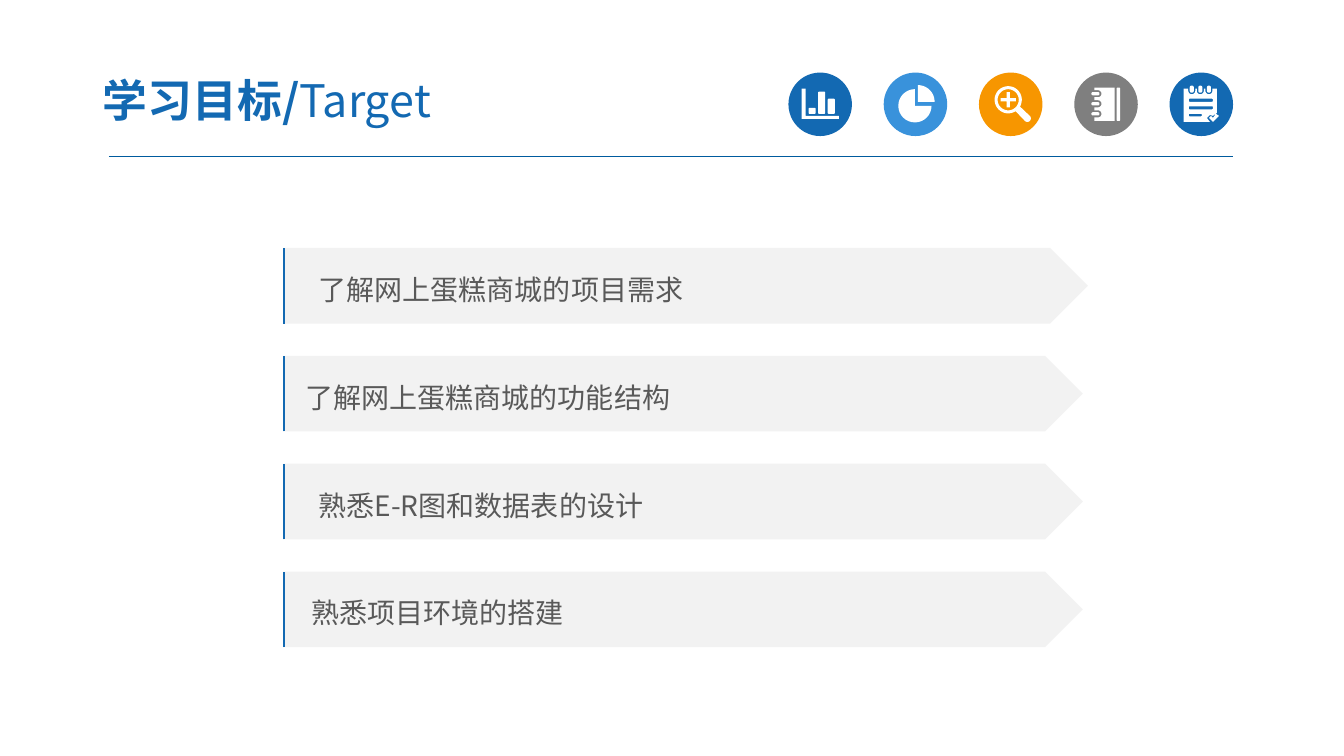
from math import cos, radians, sin

from lxml.etree import SubElement
from pptx import Presentation
from pptx.dml.color import RGBColor
from pptx.enum.shapes import MSO_CONNECTOR, MSO_SHAPE
from pptx.enum.text import MSO_ANCHOR, PP_ALIGN
from pptx.oxml.ns import qn
from pptx.util import Inches, Pt

FONT = "Noto Sans CJK SC"
BLUE, SKY, ORANGE, GRAY = "1369B2", "3992DB", "F79600", "7F7F7F"
RULE, PLATE, BODY, WHITE = "005B9E", "F2F2F2", "595959", "FFFFFF"


def color(hex_code):
    """Turn a hex string into a colour."""
    return RGBColor.from_string(hex_code)


def paint(shape, fill):
    """Give a shape a plain fill without line or shadow."""
    shape.shadow.inherit = False
    shape.fill.solid()
    shape.fill.fore_color.rgb = color(fill)
    shape.line.fill.background()


def style(run, size, hex_code, bold=False):
    """Set the font of a run, for Latin and East Asian text."""
    run.font.name = FONT
    run.font.size = Pt(size)
    run.font.bold = bold
    run.font.color.rgb = color(hex_code)
    SubElement(run.font._element, qn("a:ea")).set("typeface", FONT)


def draw_line(slide, start, end, hex_code, width):
    """Draw a straight line between two points in inches."""
    line = slide.shapes.add_connector(
        MSO_CONNECTOR.STRAIGHT, *(Inches(value) for value in start + end))
    line.line.color.rgb = color(hex_code)
    line.line.width = Pt(width)
    SubElement(line._element.spPr, qn("a:effectLst"))


def arc(cx, cy, radius, start, end, steps=24):
    """List points along an arc, with angles in clockwise degrees."""
    angles = [radians(start + (end - start) * i / steps) for i in range(steps + 1)]
    return [(cx + radius * cos(a), cy + radius * sin(a)) for a in angles]


def bar(left, top, right, bottom, radius=0.01):
    """List the outline points of a rounded bar."""
    corners = [(left + radius, top + radius, 180), (right - radius, top + radius, 270),
               (right - radius, bottom - radius, 0), (left + radius, bottom - radius, 90)]
    return [point for cx, cy, turn in corners
            for point in arc(cx, cy, radius, turn, turn + 90, 6)]


def chart_icon():
    """Outline a bar chart with its axes."""
    axes = [(0.13, 0.16), (0.17, 0.16), (0.17, 0.43), (0.5, 0.43), (0.5, 0.46), (0.13, 0.46)]
    tops = [0.35, 0.19, 0.26]
    return [axes] + [bar(0.2 + 0.095 * i, top, 0.27 + 0.095 * i, 0.41)
                     for i, top in enumerate(tops)]


def pie_icon():
    """Outline a pie with one quarter pulled out."""
    return [[(0.34, 0.29)] + arc(0.34, 0.29, 0.165, -90, 0),
            [(0.31, 0.33)] + arc(0.31, 0.33, 0.165, 0, 270)]


def magnifier_icon():
    """Outline a magnifier with a plus sign."""
    x, y, arm, half = 0.29, 0.27, 0.075, 0.016
    plus = [(x - half, y - arm), (x + half, y - arm), (x + half, y - half),
            (x + arm, y - half), (x + arm, y + half), (x + half, y + half),
            (x + half, y + arm), (x - half, y + arm), (x - half, y + half),
            (x - arm, y + half), (x - arm, y - half), (x - half, y - half)]
    return [arc(x, y, 0.135, 57, 390, 48) + arc(0.48, 0.455, 0.035, -45, 135),
            arc(x, y, 0.105, 0, 360, 48), plus]


def notebook_icon():
    """Outline a ring-bound notebook."""
    rings = [0.21, 0.31, 0.41]
    cover = [(0.2, 0.15), (0.4, 0.15), (0.4, 0.48), (0.2, 0.48)]
    for y in reversed(rings):
        cover += [(0.2, y + 0.035)] + arc(0.235, y, 0.035, 90, -90) + [(0.2, y - 0.035)]
    return [cover, bar(0.42, 0.15, 0.455, 0.48)] + [
        bar(0.17, y - 0.016, 0.25, y + 0.016, 0.015) for y in rings]


def checklist_icon():
    """Outline a notepad with three lines and a tick."""
    pegs = [0.22, 0.305, 0.39]
    page = [(0.14, 0.16)]
    for x in pegs:
        page += [(x - 0.035, 0.16)] + arc(x, 0.18, 0.035, 180, 0) + [(x + 0.035, 0.16)]
    page += [(0.47, 0.16), (0.47, 0.4), (0.43, 0.43), (0.4, 0.42), (0.37, 0.45),
             (0.4, 0.49), (0.14, 0.49)]
    tick = [(0.39, 0.45), (0.41, 0.43), (0.43, 0.45), (0.46, 0.41), (0.49, 0.43), (0.43, 0.49)]
    entries = [bar(0.19, 0.26, 0.43, 0.29), bar(0.19, 0.335, 0.43, 0.365),
               bar(0.19, 0.41, 0.32, 0.435)]
    return [page, tick] + entries + [bar(x - 0.02, 0.13, x + 0.02, 0.2, 0.018) for x in pegs]


def add_badge(slide, left, top, size, fill, contours):
    """Place a coloured disc with a white icon on it."""
    disc = slide.shapes.add_shape(
        MSO_SHAPE.OVAL, Inches(left), Inches(top), Inches(size), Inches(size))
    paint(disc, fill)
    outlines = [[(Inches(x), Inches(y)) for x, y in contour] for contour in contours]
    builder = slide.shapes.build_freeform(*outlines[0][0])
    for i, outline in enumerate(outlines):
        if i:
            builder.move_to(*outline[0])
        builder.add_line_segments(outline[1:], close=True)
    paint(builder.convert_to_shape(Inches(left), Inches(top)), WHITE)


def add_header(slide, left, top, width):
    """Place the title, the row of badges and the rule below them."""
    badges = [(BLUE, chart_icon()), (SKY, pie_icon()), (ORANGE, magnifier_icon()),
              (GRAY, notebook_icon()), (BLUE, checklist_icon())]
    size, pitch = 0.63, 0.945
    first = left + width - size - pitch * (len(badges) - 1)
    draw_line(slide, (left, top + 0.83), (left + width, top + 0.83), RULE, 0.75)
    for i, (fill, contours) in enumerate(badges):
        add_badge(slide, first + pitch * i, top, size, fill, contours)

    title = slide.shapes.add_textbox(
        Inches(left - 0.19), Inches(top - 0.09), Inches(5.22), Inches(0.72)).text_frame
    title.word_wrap = True
    title.vertical_anchor = MSO_ANCHOR.MIDDLE
    title.margin_left = title.margin_right = Inches(0.13)
    title.margin_top = title.margin_bottom = Inches(0.07)
    for words, bold in [("学习目标/", True), ("Target", False)]:
        run = title.paragraphs[0].add_run()
        run.text = words
        style(run, 32, BLUE, bold)


def add_goal(slide, left, top, width, height, words, indent):
    """Place one goal on an arrow plate with a blue edge."""
    plate = slide.shapes.add_shape(
        MSO_SHAPE.PENTAGON, Inches(left), Inches(top), Inches(width), Inches(height))
    paint(plate, PLATE)
    frame = plate.text_frame
    frame.text = words
    frame.word_wrap = True
    frame.vertical_anchor = MSO_ANCHOR.MIDDLE
    frame.margin_left = Inches(indent)
    goal = frame.paragraphs[0]
    goal.alignment = PP_ALIGN.LEFT
    goal.line_spacing = 1.2
    style(goal.runs[0], 20, BODY)
    draw_line(slide, (left + 0.01, top + height), (left + 0.01, top), BLUE, 1.5)


def add_goals(slide, left, top):
    """Stack the four goals at equal steps."""
    goals = [("了解网上蛋糕商城的项目需求", 7.98, 0.35),
             ("了解网上蛋糕商城的功能结构", 7.93, 0.22),
             ("熟悉E-R图和数据表的设计", 7.93, 0.35),
             ("熟悉项目环境的搭建", 7.93, 0.28)]
    for i, (words, width, indent) in enumerate(goals):
        add_goal(slide, left, top + 1.07 * i, width, 0.75, words, indent)


def main():
    """Build the slide and save it."""
    deck = Presentation()
    deck.slide_width, deck.slide_height = Inches(13.33), Inches(7.5)
    slide = deck.slides.add_slide(deck.slide_layouts[6])
    add_header(slide, 1.08, 0.72, 11.15)
    add_goals(slide, 2.81, 2.46)
    deck.save("out.pptx")


if __name__ == "__main__":
    main()
